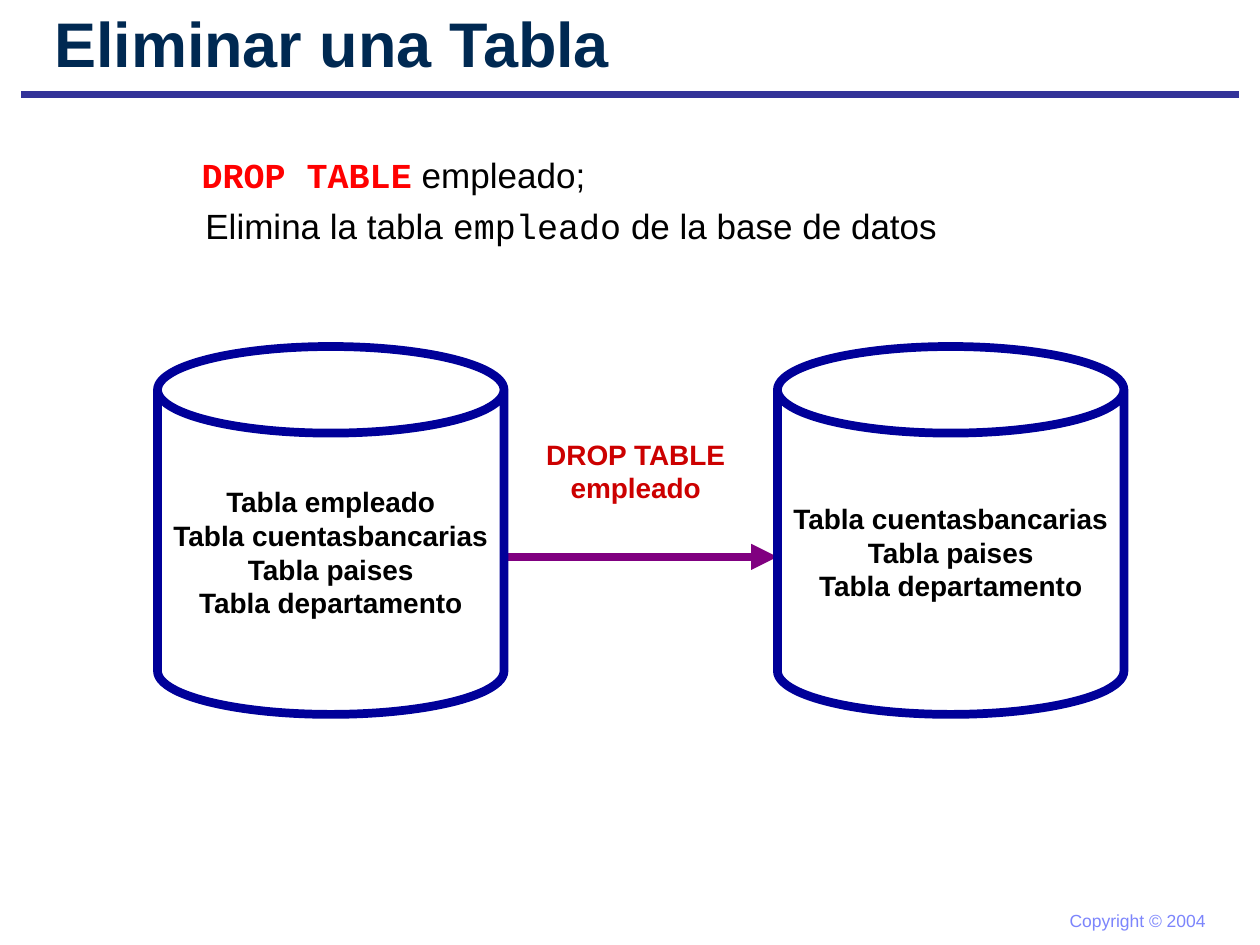
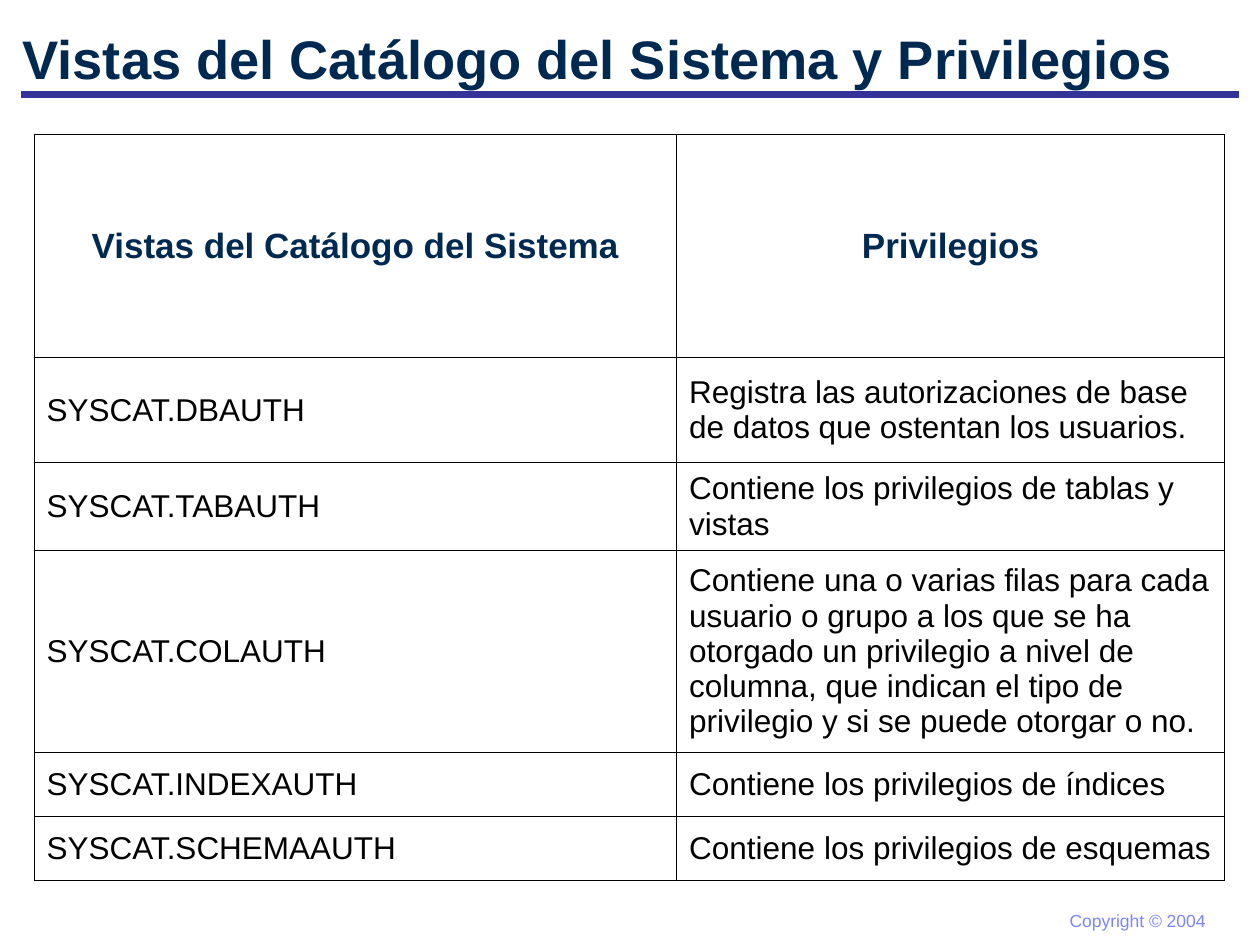
from dataclasses import dataclass

from lxml.etree import SubElement
from pptx import Presentation
from pptx.dml.color import RGBColor
from pptx.enum.shapes import MSO_CONNECTOR, MSO_SHAPE
from pptx.enum.text import MSO_ANCHOR, MSO_AUTO_SIZE, PP_ALIGN
from pptx.oxml import parse_xml
from pptx.oxml.ns import nsdecls, qn
from pptx.util import Inches, Pt

NAVY = "002952"
RULE_BLUE = "333399"
FOOTER_BLUE = "7C85FC"
CAN_BLUE = "000099"
PURPLE = "800080"
RED = "FF0000"
DARK_RED = "CC0000"
BLACK = "000000"
SANS = "Arial"
MONO = "Courier New"


@dataclass(frozen=True)
class Area:
    left: float
    top: float
    width: float
    height: float

    def lengths(self):
        return [Inches(value) for value in (self.left, self.top, self.width, self.height)]


@dataclass(frozen=True)
class Span:
    text: str
    size: float
    color: str = BLACK
    bold: bool = False
    font: str = SANS


@dataclass(frozen=True)
class Database:
    left: float
    tables: tuple


@dataclass(frozen=True)
class CodeLine:
    spans: tuple
    level: int
    margin: float
    indent: float


def rgb(color: str) -> RGBColor:
    return RGBColor.from_string(color)


def add_span(para, span: Span) -> None:
    run = para.add_run()
    run.text = span.text
    run.font.name = span.font
    run.font.size = Pt(span.size)
    run.font.bold = span.bold
    run.font.color.rgb = rgb(span.color)


def fill_frame(frame, spans, align=PP_ALIGN.LEFT, wrap: bool = True) -> None:
    frame.word_wrap = wrap
    for index, span in enumerate(spans):
        para = frame.paragraphs[0] if index == 0 else frame.add_paragraph()
        para.alignment = align
        add_span(para, span)


def place(shape, area: Area) -> None:
    shape.left, shape.top, shape.width, shape.height = area.lengths()


def add_line(page, left: float, right: float, y: float, color: str, width: float, arrow: bool = False) -> None:
    line = page.shapes.add_connector(
        MSO_CONNECTOR.STRAIGHT, Inches(left), Inches(y), Inches(right), Inches(y))
    line.line.color.rgb = rgb(color)
    line.line.width = Pt(width)
    if arrow:
        SubElement(line.line._get_or_add_ln(), qn("a:tailEnd"), type="triangle")
    SubElement(line._element.spPr, qn("a:effectLst"))


def add_label(page, area: Area, span: Span, align=PP_ALIGN.LEFT, wrap: bool = True) -> None:
    box = page.shapes.add_textbox(*area.lengths())
    fill_frame(box.text_frame, [span], align, wrap)


def add_page(deck, layout: int, title: str, area: Area, size: float):
    page = deck.slides.add_slide(deck.slide_layouts[layout])
    add_line(page, 0.17, 9.83, 0.75, RULE_BLUE, 4.5)
    add_label(page, Area(8.39, 7.17, 1.28, 0.27),
              Span("Copyright © 2004", 10, FOOTER_BLUE), wrap=False)
    place(page.shapes.title, area)
    frame = page.shapes.title.text_frame
    frame.auto_size = MSO_AUTO_SIZE.NONE
    frame.vertical_anchor = MSO_ANCHOR.MIDDLE
    fill_frame(frame, [Span(title, size, NAVY, True)])
    return page


def add_code_lines(page, area: Area, lines) -> None:
    body = page.placeholders[1]
    place(body, area)
    frame = body.text_frame
    frame.auto_size = MSO_AUTO_SIZE.NONE
    for index, line in enumerate(lines):
        para = frame.paragraphs[0] if index == 0 else frame.add_paragraph()
        para.level = line.level
        para.alignment = PP_ALIGN.JUSTIFY
        para.space_before = Pt(5)
        properties = para._p.get_or_add_pPr()
        properties.set("marL", str(Inches(line.margin)))
        properties.set("indent", str(Inches(line.indent)))
        SubElement(properties, qn("a:buNone"))
        for span in line.spans:
            add_span(para, span)


def add_database(page, database: Database) -> None:
    can = page.shapes.add_shape(
        MSO_SHAPE.CAN, *Area(database.left, 2.75, 2.75, 2.92).lengths())
    can.adjustments[0] = 0.25
    can.shadow.inherit = False
    can.fill.background()
    can.line.color.rgb = rgb(CAN_BLUE)
    can.line.width = Pt(5)
    can.text_frame.vertical_anchor = MSO_ANCHOR.MIDDLE
    spans = [Span(f"Tabla {name}", 16, bold=True) for name in database.tables]
    fill_frame(can.text_frame, spans, PP_ALIGN.CENTER, wrap=False)


def add_borders(cell) -> None:
    properties = cell._tc.get_or_add_tcPr()
    for index, side in enumerate(("lnL", "lnR", "lnT", "lnB")):
        properties.insert(index, parse_xml(
            f'<a:{side} {nsdecls("a")} w="{Pt(0.45)}"><a:solidFill>'
            f'<a:srgbClr val="{BLACK}"/></a:solidFill></a:{side}>'))


def add_grid(page, area: Area, widths, heights, rows) -> None:
    table = page.shapes.add_table(len(rows), len(widths), *area.lengths()).table
    table.first_row = False
    table.horz_banding = False
    for column, width in zip(table.columns, widths):
        column.width = Inches(width)
    for row, height in zip(table.rows, heights):
        row.height = Inches(height)
    for row_index, texts in enumerate(rows):
        header = row_index == 0
        for column_index, text in enumerate(texts):
            cell = table.cell(row_index, column_index)
            cell.vertical_anchor = MSO_ANCHOR.MIDDLE
            cell.fill.background()
            add_borders(cell)
            span = Span(text, 20, NAVY, True) if header else Span(text, 18)
            fill_frame(cell.text_frame, [span], PP_ALIGN.CENTER if header else PP_ALIGN.LEFT)


def build_drop_page(deck) -> None:
    page = add_page(deck, 1, "Eliminar una Tabla", Area(0.33, 0, 5.7, 0.67), 36)
    add_code_lines(page, Area(1, 1.17, 7.92, 4.83), [
        CodeLine((Span("DROP TABLE", 20, RED, True, MONO), Span(" empleado;", 20)),
                 1, 0.81, -0.31),
        CodeLine((Span("Elimina la tabla ", 20), Span("empleado", 20, font=MONO),
                  Span(" de la base de datos", 20)), 0, 0.53, 0),
    ])
    remaining = ("cuentasbancarias", "paises", "departamento")
    add_line(page, 4, 6.17, 4.42, PURPLE, 5, arrow=True)
    for database in (Database(1.25, ("empleado",) + remaining), Database(6.17, remaining)):
        add_database(page, database)
    add_label(page, Area(3.92, 3.42, 2.25, 0.64),
              Span("DROP TABLE empleado", 16, DARK_RED, True), PP_ALIGN.CENTER)


def build_catalog_page(deck) -> None:
    title = "Vistas del Catálogo del Sistema y Privilegios"
    page = add_page(deck, 5, title, Area(0.08, 0.25, 9.58, 0.42), 31)
    rows = [
        ("Vistas del Catálogo del Sistema", "Privilegios"),
        ("SYSCAT.DBAUTH",
         "Registra las autorizaciones de base de datos que ostentan los usuarios."),
        ("SYSCAT.TABAUTH", "Contiene los privilegios de tablas y vistas"),
        ("SYSCAT.COLAUTH",
         "Contiene una o varias filas para cada usuario o grupo a los que se ha otorgado "
         "un privilegio a nivel de columna, que indican el tipo de privilegio y si se "
         "puede otorgar o no."),
        ("SYSCAT.INDEXAUTH", "Contiene los privilegios de índices"),
        ("SYSCAT.SCHEMAAUTH", "Contiene los privilegios de esquemas"),
    ]
    add_grid(page, Area(0.27, 1.07, 9.45, 5.92), (5.1, 4.35),
             (1.77, 0.83, 0.7, 1.6, 0.51, 0.51), rows)


def main() -> None:
    deck = Presentation()
    deck.slide_width = Inches(10)
    deck.slide_height = Inches(7.5)
    build_drop_page(deck)
    build_catalog_page(deck)
    deck.save("out.pptx")


main()
